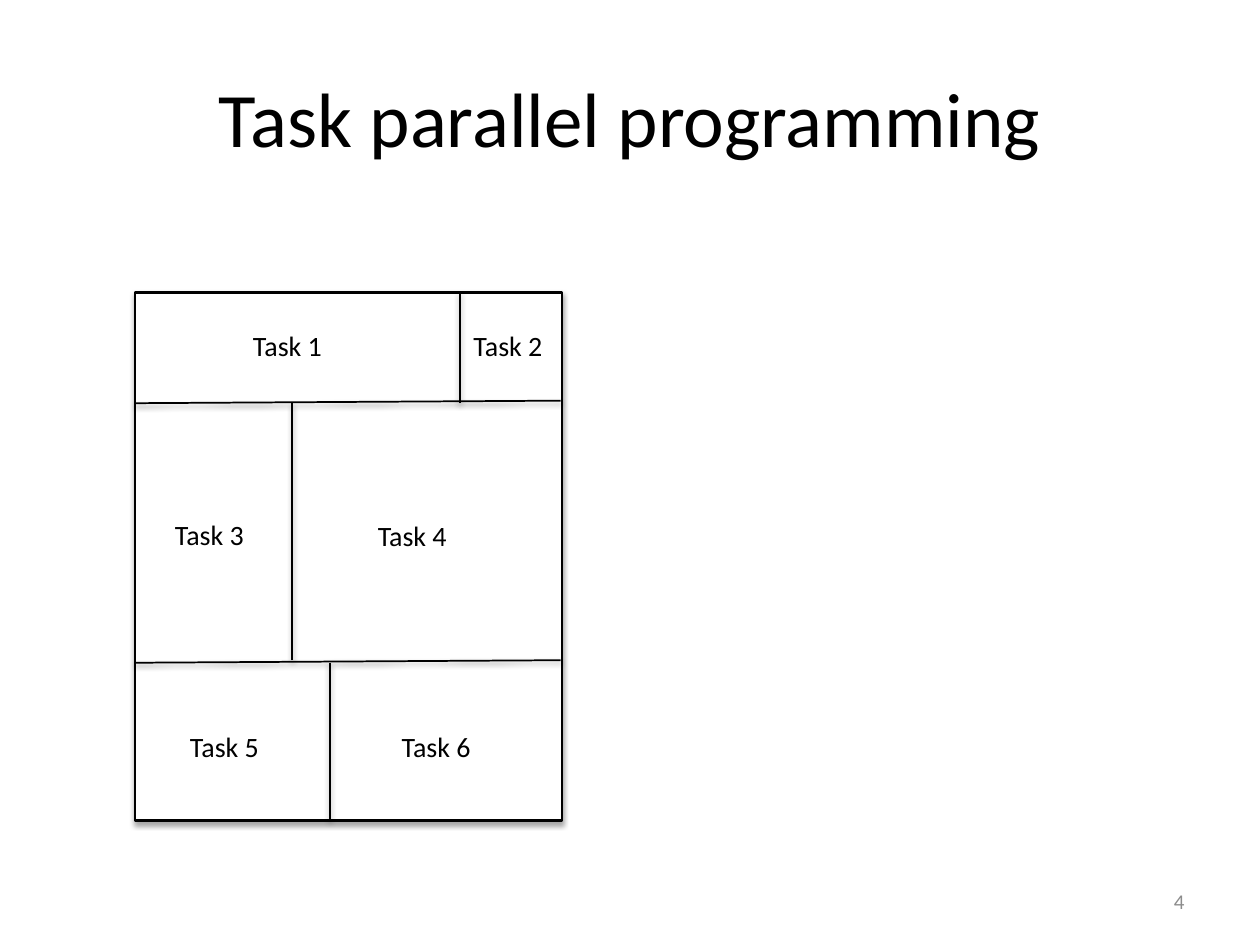
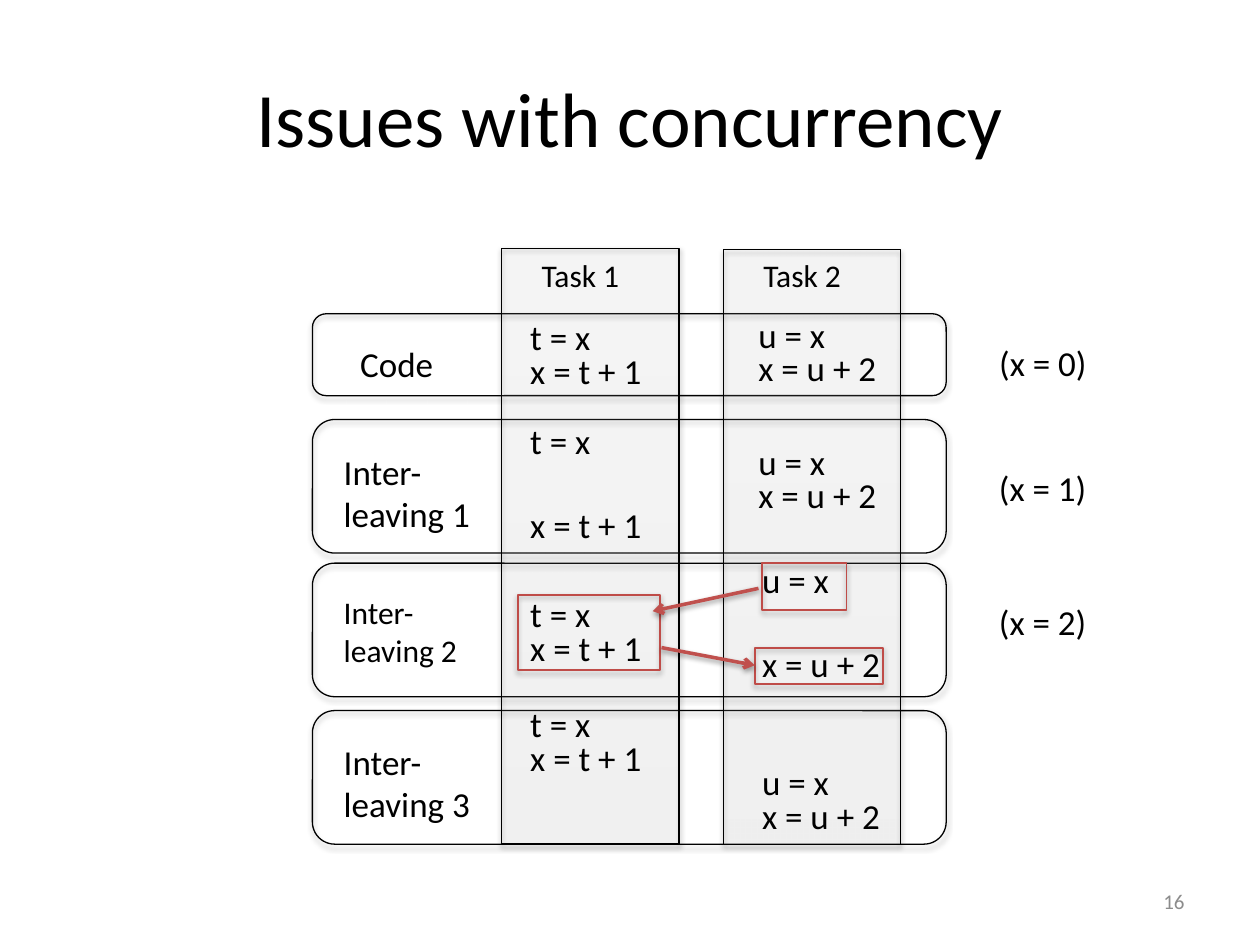
from lxml.etree import SubElement
from pptx import Presentation
from pptx.dml.color import RGBColor
from pptx.enum.shapes import MSO_CONNECTOR, MSO_SHAPE
from pptx.enum.text import MSO_ANCHOR, MSO_AUTO_SIZE, PP_ALIGN
from pptx.oxml.ns import qn
from pptx.util import Inches, Pt

COLORS = {
    "ink": "000000",
    "paper": "FFFFFF",
    "number": "8C8C8C",
    "frame": "BF4C48",
    "arrow": "C0504D",
}
FONT = "Calibri"
SHAPE_SHADOW = (35, 1.8)
LINE_SHADOW = (38, 1.6)

TASK_AREA = (1.07, 2.32, 3.39, 4.19)
TASK_DIVIDERS = [
    ((1.07, 3.2), (4.45, 3.18)),
    ((2.32, 5.24), (2.32, 3.2)),
    ((1.07, 5.26), (4.45, 5.24)),
    ((3.65, 3.2), (3.65, 2.32)),
    ((2.62, 5.26), (2.62, 6.51)),
]
TASK_LABELS = [
    ("Task 1", 1.91, 2.56),
    ("Task 2", 3.66, 2.56),
    ("Task 3", 1.29, 4.06),
    ("Task 4", 2.9, 4.07),
    ("Task 5", 1.41, 5.74),
    ("Task 6", 3.09, 5.74),
]

ROW_LEFT, ROW_WIDTH = 2.48, 5.03
ROWS = [
    (2.49, 0.65, ["Code"], 2.76, 2.67, 20),
    (3.33, 1.06, ["Inter-", "leaving 1"], 2.63, 3.53, 20),
    (4.47, 1.06, ["Inter-leaving 2"], 2.63, 4.66, 18),
    (5.64, 1.06, ["Inter-leaving 3"], 2.63, 5.83, 20),
]
COLUMN_WIDTH, COLUMN_BOTTOM = 1.41, 6.7
COLUMNS = [("Task 1", 3.98, 1.97, 9), ("Task 2", 5.74, 1.98, 10)]
GRADIENT = [(0, "BDBDBD"), (35, "D1D1D1"), (100, "EEEEEE")]
FIRST_TASK = ["t = x", "x = t + 1"]
SECOND_TASK = ["u = x", "x = u + 2"]
STEPS = [
    (FIRST_TASK, 4.11, 2.52, False),
    (SECOND_TASK, 5.92, 2.5, False),
    (FIRST_TASK, 4.11, 3.28, True),
    (SECOND_TASK, 5.92, 3.51, False),
    (FIRST_TASK, 4.11, 4.72, False),
    (SECOND_TASK, 5.95, 4.38, True),
    (FIRST_TASK, 4.11, 5.59, False),
    (SECOND_TASK, 5.95, 6.05, False),
]
STEP_FRAMES = [
    (6.05, 4.47, 0.67, 0.37),
    (5.99, 5.14, 1.02, 0.29),
    (4.11, 4.72, 1.13, 0.6),
]
STEP_ARROWS = [((6.02, 4.67), (5.18, 4.85)), ((5.25, 5.14), (5.99, 5.28))]
RESULTS = [("(x = 0)", 2.66), ("(x = 1)", 3.65), ("(x = 2)", 4.72)]


def rgb(name):
    return RGBColor.from_string(COLORS[name])


def add_color(parent, value, alpha):
    color = SubElement(parent, qn("a:srgbClr"), val=value)
    SubElement(color, qn("a:alpha"), val=str(alpha * 1000))


def add_shadow(shape, alpha, distance):
    properties = shape._element.spPr
    effects = SubElement(properties, qn("a:effectLst"))
    shadow = SubElement(
        effects, qn("a:outerShdw"), blurRad=str(Pt(3.1)), dist=str(Pt(distance)),
        dir="5400000", rotWithShape="0",
    )
    add_color(shadow, COLORS["ink"], alpha)


def style_line(line, color, width):
    line.color.rgb = rgb(color)
    line.width = Pt(width)


def add_box(slide, kind, box, color, width, fill=None, shadow=SHAPE_SHADOW):
    shape = slide.shapes.add_shape(kind, *map(Inches, box))
    if fill:
        shape.fill.solid()
        shape.fill.fore_color.rgb = rgb(fill)
    else:
        shape.fill.background()
    style_line(shape.line, color, width)
    add_shadow(shape, *shadow)
    return shape


def add_line(slide, start, end, color, width, arrow=False):
    connector = slide.shapes.add_connector(
        MSO_CONNECTOR.STRAIGHT, *map(Inches, start + end)
    )
    style_line(connector.line, color, width)
    if arrow:
        SubElement(connector.line._get_or_add_ln(), qn("a:tailEnd"), type="arrow")
    add_shadow(connector, *LINE_SHADOW)


def fill_with_gradient(shape, alpha):
    properties = shape._element.spPr
    gradient = SubElement(properties, qn("a:gradFill"), rotWithShape="1")
    stops = SubElement(gradient, qn("a:gsLst"))
    for position, value in GRADIENT:
        stop = SubElement(stops, qn("a:gs"), pos=str(position * 1000))
        add_color(stop, value, alpha)
    SubElement(gradient, qn("a:lin"), ang="16200000", scaled="0")
    properties.replace(properties.find(qn("a:noFill")), gradient)


def write_text(shape, lines, size, color="ink", wrap=True):
    frame = shape.text_frame
    frame.text = "\n".join(lines)
    frame.word_wrap = wrap
    frame.auto_size = MSO_AUTO_SIZE.SHAPE_TO_FIT_TEXT
    for paragraph in frame.paragraphs:
        for run in paragraph.runs:
            run.font.name = FONT
            run.font.size = Pt(size)
            run.font.color.rgb = rgb(color)
    return frame


def add_text(slide, lines, box, size, color="ink", wrap=True):
    shape = slide.shapes.add_textbox(*map(Inches, box))
    return write_text(shape, lines, size, color, wrap)


def place(shape, box):
    shape.left, shape.top, shape.width, shape.height = map(Inches, box)


def add_slide(presentation, layout, title, number):
    slide = presentation.slides.add_slide(presentation.slide_layouts[layout])
    place(slide.shapes.title, (0.5, 0.3, 9, 1.25))
    frame = write_text(slide.shapes.title, [title], 44)
    frame.auto_size = MSO_AUTO_SIZE.NONE
    frame.vertical_anchor = MSO_ANCHOR.MIDDLE
    frame.paragraphs[0].alignment = PP_ALIGN.CENTER
    footer = add_text(slide, [str(number)], (7.17, 6.95, 2.33, 0.4), 12, "number")
    footer.auto_size = MSO_AUTO_SIZE.NONE
    footer.vertical_anchor = MSO_ANCHOR.MIDDLE
    footer.paragraphs[0].alignment = PP_ALIGN.RIGHT
    return slide


def build_task_slide(presentation):
    slide = add_slide(presentation, 5, "Task parallel programming", 4)
    add_box(slide, MSO_SHAPE.RECTANGLE, TASK_AREA, "ink", 1.5, "paper")
    for start, end in TASK_DIVIDERS:
        add_line(slide, start, end, "ink", 1)
    for label, left, top in TASK_LABELS:
        add_text(slide, [label], (left, top, 0.84, 0.37), 16)


def add_steps(slide, lines, left, top, interleaved):
    frame = add_text(slide, lines, (left, top, 1.2, 1.11 if interleaved else 0.65), 20)
    if interleaved:
        frame.paragraphs[-1].space_before = Pt(24)
    else:
        for paragraph in frame.paragraphs:
            paragraph.line_spacing = 0.8


def add_results(slide):
    body = slide.placeholders[1]
    for index, (result, top) in enumerate(RESULTS):
        box = (7.83, top, 0.9, 0.44)
        if index:
            add_text(slide, [result], box, 20, wrap=False)
            continue
        place(body, box)
        paragraph = write_text(body, [result], 20, wrap=False).paragraphs[0]
        properties = paragraph._p.get_or_add_pPr()
        properties.set("marL", "0")
        properties.set("indent", "0")
        SubElement(properties, qn("a:buNone"))


def build_concurrency_slide(presentation):
    slide = add_slide(presentation, 1, "Issues with concurrency", 16)
    for top, height, *_ in ROWS:
        box = (ROW_LEFT, top, ROW_WIDTH, height)
        add_box(slide, MSO_SHAPE.ROUNDED_RECTANGLE, box, "ink", 0.75)
    for _, left, top, alpha in COLUMNS:
        box = (left, top, COLUMN_WIDTH, COLUMN_BOTTOM - top)
        column = add_box(
            slide, MSO_SHAPE.RECTANGLE, box, "ink", 0.75, shadow=LINE_SHADOW
        )
        fill_with_gradient(column, alpha)
    for label, left, *_ in COLUMNS:
        add_text(slide, [label], (left + 0.22, 1.98, 0.98, 0.4), 18)
    for _, _, lines, left, top, size in ROWS:
        add_text(slide, lines, (left, top, 1.26, 0.44 if lines == ["Code"] else 0.77), size)
    for lines, left, top, interleaved in STEPS:
        add_steps(slide, lines, left, top, interleaved)
    for box in STEP_FRAMES:
        add_box(slide, MSO_SHAPE.RECTANGLE, box, "frame", 1)
    for start, end in STEP_ARROWS:
        add_line(slide, start, end, "arrow", 2, arrow=True)
    add_results(slide)


def main():
    presentation = Presentation()
    presentation.slide_width = Inches(10)
    presentation.slide_height = Inches(7.5)
    build_task_slide(presentation)
    build_concurrency_slide(presentation)
    presentation.save("out.pptx")


if __name__ == "__main__":
    main()
